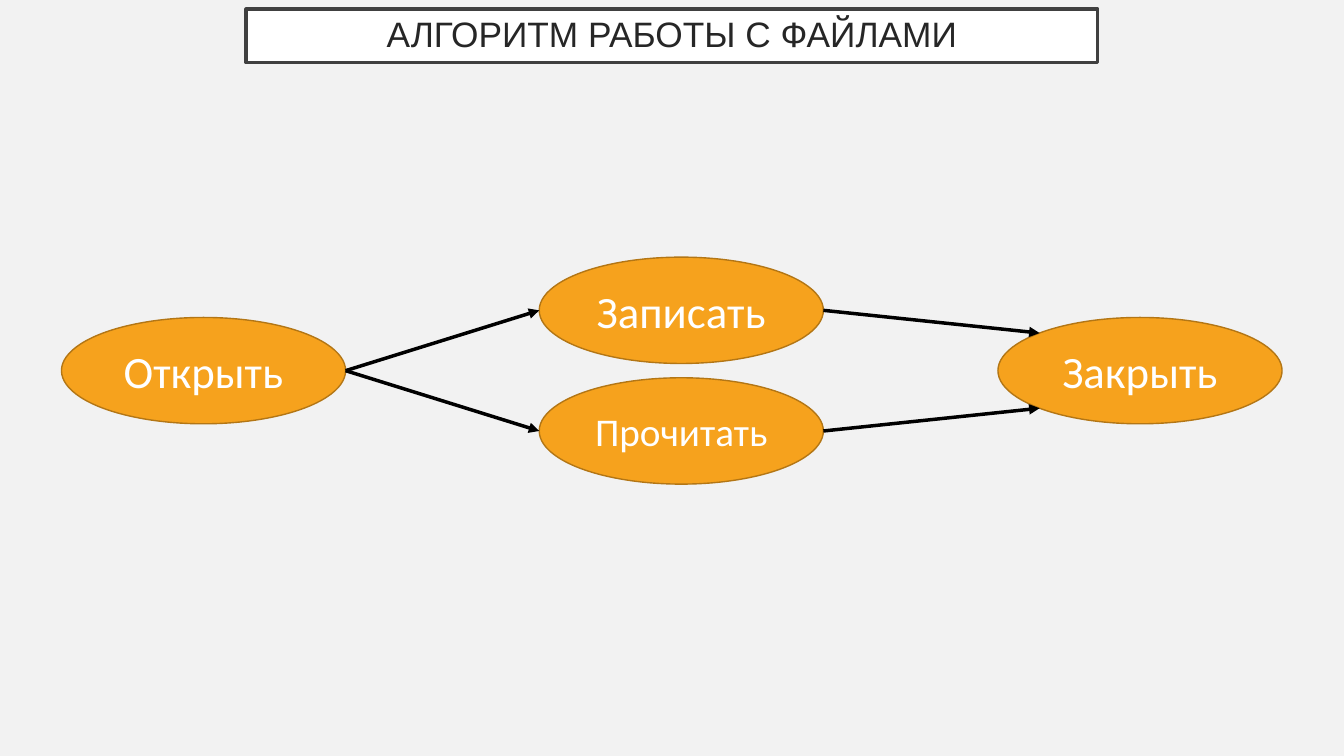
"""Builds a slide with the file-handling flow: open, write or read, close."""
from dataclasses import dataclass
from math import sqrt

from lxml.etree import SubElement
from pptx import Presentation
from pptx.dml.color import RGBColor
from pptx.enum.shapes import MSO_CONNECTOR, MSO_SHAPE
from pptx.enum.text import MSO_ANCHOR, PP_ALIGN
from pptx.oxml.ns import qn
from pptx.util import Cm, Pt

TITLE = "АЛГОРИТМ РАБОТЫ С ФАЙЛАМИ"
STEPS = {
    "open": {"label": "Открыть", "column": 0, "row": 0, "size": 32},
    "write": {"label": "Записать", "column": 1, "row": -1, "size": 32},
    "read": {"label": "Прочитать", "column": 1, "row": 1, "size": 28},
    "close": {"label": "Закрыть", "column": 2, "row": 0, "size": 32},
}
ARROWS = [
    ("open", "write", "left"),
    ("open", "read", "left"),
    ("write", "close", "top left"),
    ("read", "close", "bottom left"),
]


@dataclass(frozen=True)
class Theme:
    background: str = "F2F2F2"
    title_fill: str = "FFFFFF"
    title_border: str = "404040"
    title_text: str = "262626"
    title_font: str = "Arial"
    title_size: float = 25.2
    step_fill: str = "F6A21D"
    step_border: str = "B37615"
    step_text: str = "FFFFFF"
    step_font: str = "Calibri"
    arrow: str = "000000"
    thick: float = 2.5
    thin: float = 1


THEME = Theme()
SLIDE_WIDTH, SLIDE_HEIGHT = 33.87, 19.05
TITLE_TOP, TITLE_WIDTH, TITLE_HEIGHT = 0.23, 21.46, 1.35
STEP_WIDTH, STEP_HEIGHT = 7.16, 2.68
COLUMN_LEFTS = (1.55, 13.59, 25.15)
FLOW_MIDDLE, ROW_OFFSET = 9.34, 1.52
DIAGONAL = 1 / sqrt(2)
SITES = {
    "left": (-1, 0),
    "right": (1, 0),
    "top left": (-DIAGONAL, -DIAGONAL),
    "bottom left": (-DIAGONAL, DIAGONAL),
}


def write_text(shape, text, *, font, size, color, margins, line_spacing=1.0):
    frame = shape.text_frame
    frame.word_wrap = True
    frame.vertical_anchor = MSO_ANCHOR.MIDDLE
    frame.margin_left = frame.margin_right = Cm(margins[0])
    frame.margin_top = frame.margin_bottom = Cm(margins[1])
    paragraph = frame.paragraphs[0]
    paragraph.alignment = PP_ALIGN.CENTER
    paragraph.line_spacing = line_spacing
    run = paragraph.add_run()
    run.text = text
    run.font.name = font
    run.font.size = Pt(size)
    run.font.color.rgb = RGBColor.from_string(color)


def draw_shape(slide, kind, box, fill, border, border_width):
    shape = slide.shapes.add_shape(kind, *map(Cm, box))
    shape.shadow.inherit = False
    shape.fill.solid()
    shape.fill.fore_color.rgb = RGBColor.from_string(fill)
    shape.line.color.rgb = RGBColor.from_string(border)
    shape.line.width = Pt(border_width)
    return shape


def center(step):
    return (COLUMN_LEFTS[step["column"]] + STEP_WIDTH / 2,
            FLOW_MIDDLE + step["row"] * ROW_OFFSET)


def site_point(step, site):
    x, y = center(step)
    across, down = SITES[site]
    return Cm(x + across * STEP_WIDTH / 2), Cm(y + down * STEP_HEIGHT / 2)


def draw_title(slide):
    box = ((SLIDE_WIDTH - TITLE_WIDTH) / 2, TITLE_TOP, TITLE_WIDTH, TITLE_HEIGHT)
    title = draw_shape(slide, MSO_SHAPE.RECTANGLE, box,
                       THEME.title_fill, THEME.title_border, THEME.thick)
    write_text(title, TITLE, font=THEME.title_font, size=THEME.title_size,
               color=THEME.title_text, margins=(0.5, 0.5), line_spacing=0.9)


def draw_step(slide, step):
    x, y = center(step)
    box = (x - STEP_WIDTH / 2, y - STEP_HEIGHT / 2, STEP_WIDTH, STEP_HEIGHT)
    ellipse = draw_shape(slide, MSO_SHAPE.OVAL, box,
                         THEME.step_fill, THEME.step_border, THEME.thin)
    write_text(ellipse, step["label"], font=THEME.step_font, size=step["size"],
               color=THEME.step_text, margins=(0.25, 0.13))


def draw_arrow(slide, source, target, site):
    arrow = slide.shapes.add_connector(
        MSO_CONNECTOR.STRAIGHT,
        *site_point(STEPS[source], "right"), *site_point(STEPS[target], site))
    arrow.line.color.rgb = RGBColor.from_string(THEME.arrow)
    arrow.line.width = Pt(THEME.thick)
    SubElement(arrow.line._get_or_add_ln(), qn("a:tailEnd"), type="triangle")
    SubElement(arrow._element.spPr, qn("a:effectLst"))


def main():
    deck = Presentation()
    deck.slide_width, deck.slide_height = Cm(SLIDE_WIDTH), Cm(SLIDE_HEIGHT)
    slide = deck.slides.add_slide(deck.slide_layouts[6])
    slide.background.fill.solid()
    slide.background.fill.fore_color.rgb = RGBColor.from_string(THEME.background)
    draw_title(slide)
    for step in STEPS.values():
        draw_step(slide, step)
    for source, target, site in ARROWS:
        draw_arrow(slide, source, target, site)
    deck.save("out.pptx")


if __name__ == "__main__":
    main()
